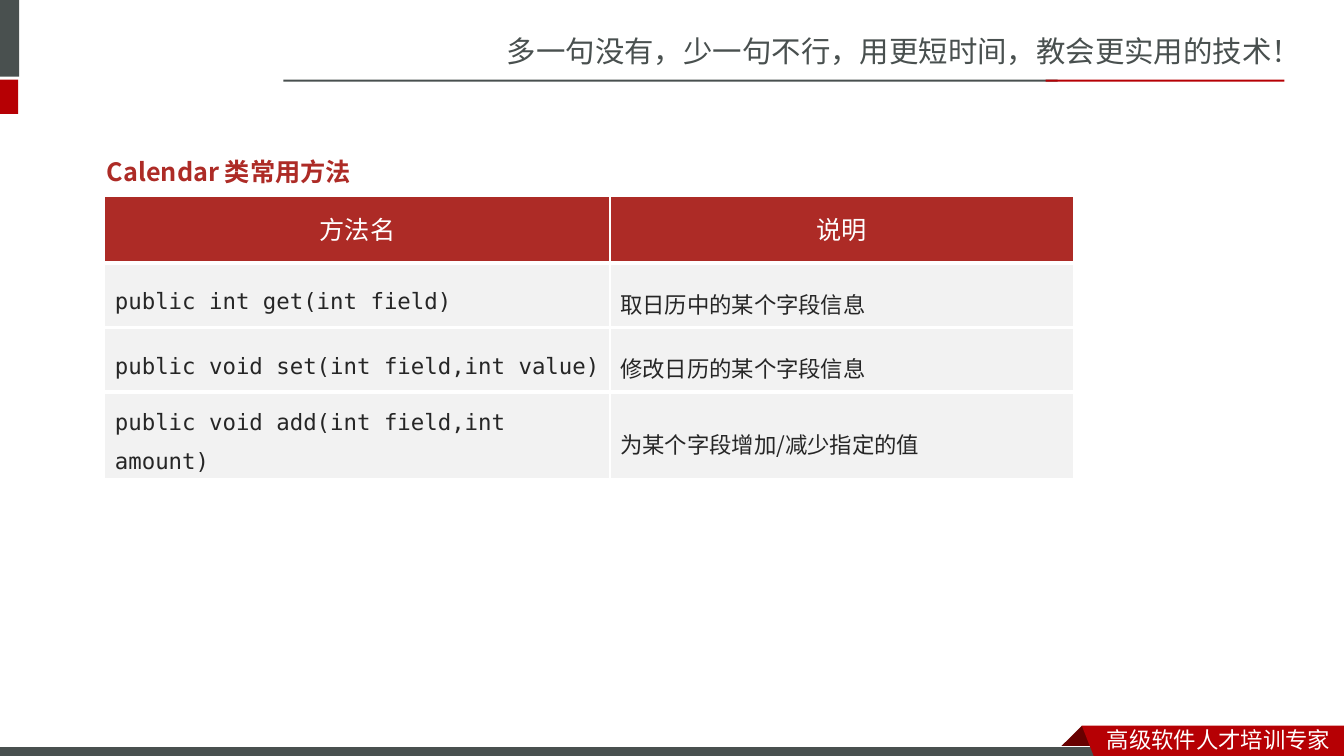
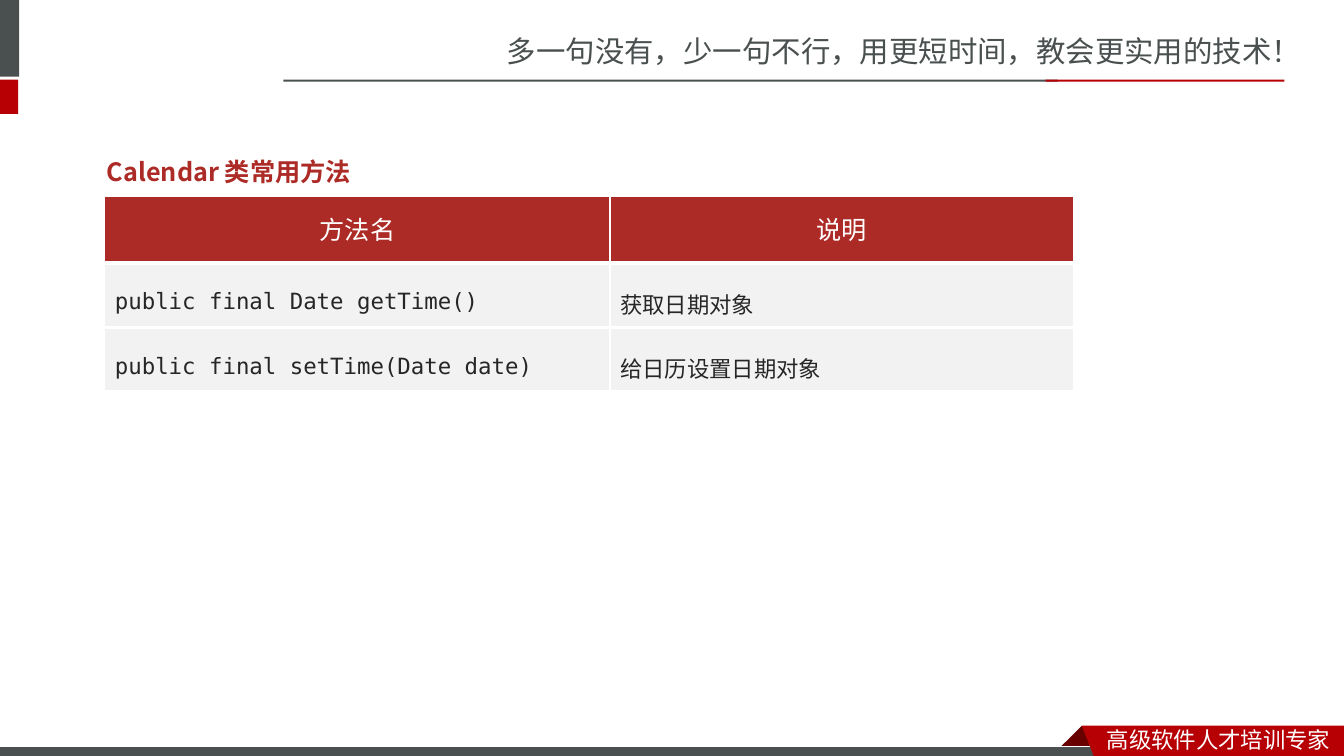
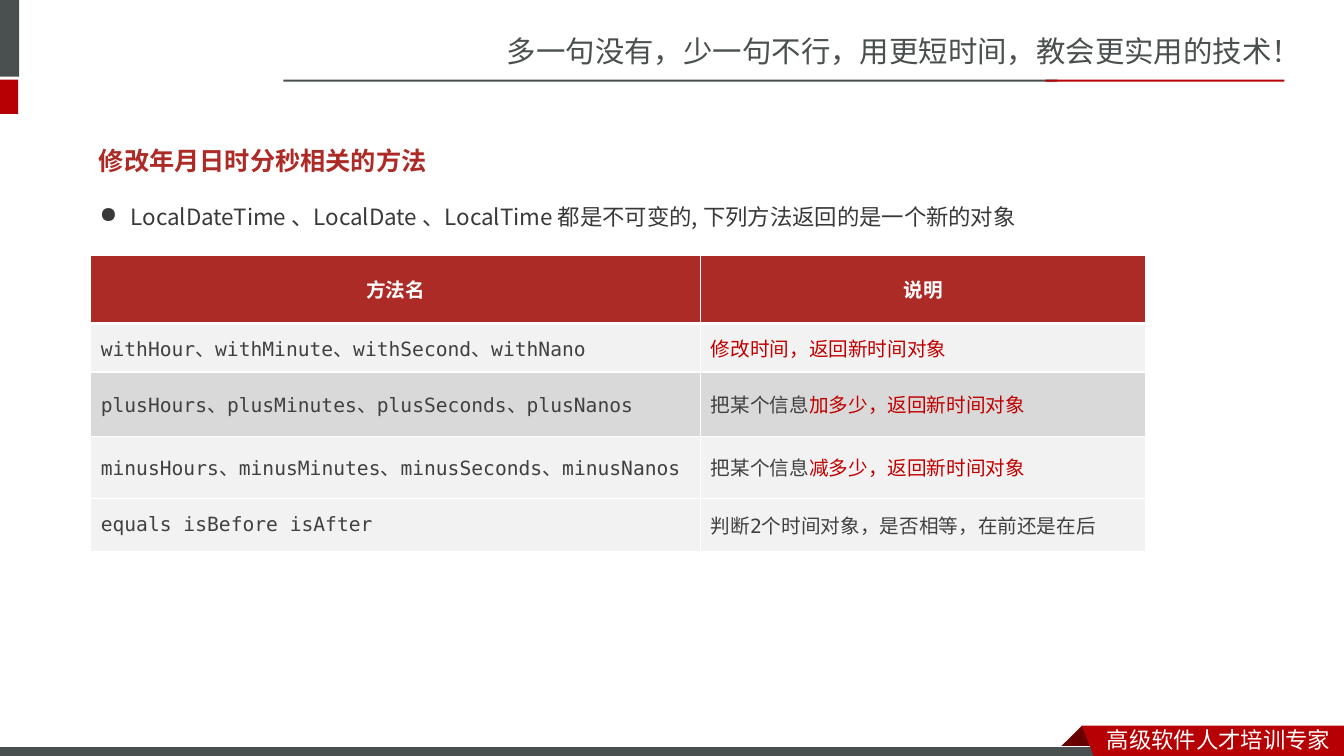
import pptx
import pptx.dml.color
import pptx.enum.shapes
import pptx.enum.text
import pptx.oxml
import pptx.oxml.ns
import pptx.util
from pptx.dml.color import RGBColor
from pptx.util import Inches, Pt

GREY = RGBColor(0x49, 0x50, 0x4F)
RED = RGBColor(0xB6, 0x00, 0x04)
DARK = RGBColor(0x68, 0x00, 0x00)
BRICK = RGBColor(0xAD, 0x2B, 0x26)
WHITE = RGBColor(0xFF, 0xFF, 0xFF)
PALE = RGBColor(0xF2, 0xF2, 0xF2)
BAND = RGBColor(0xD9, 0xD9, 0xD9)
INK = RGBColor(0x26, 0x26, 0x26)
SOFT = RGBColor(0x40, 0x40, 0x40)
BODY = RGBColor(0x39, 0x39, 0x39)
ALERT = RGBColor(0xC0, 0x00, 0x00)

SANS = "Noto Sans CJK SC"
TEXT = "Noto Sans CJK JP"
MONO = "DejaVu Sans Mono"
HEAD = "Roboto"

ALIGN = pptx.enum.text.PP_ALIGN
ANCHOR = pptx.enum.text.MSO_ANCHOR


def add_xml(parent, tag, **attrs):
    node = pptx.oxml.parse_xml(f"<a:{tag} {pptx.oxml.ns.nsdecls('a')}/>")
    for key, value in attrs.items():
        node.set(key, str(value))
    parent.append(node)
    return node


def style(run, face, size, color, bold=False):
    font = run.font
    font.size = Pt(size)
    font.bold = bold
    font.color.rgb = color
    font.name = face
    east = face if face in (SANS, TEXT) else SANS
    add_xml(run._r.get_or_add_rPr(), "ea", typeface=east)


def write(frame, text, face, size, color, bold=False, space=1.0):
    frame.text = text
    frame.word_wrap = True
    frame.vertical_anchor = ANCHOR.TOP
    frame.auto_size = pptx.enum.text.MSO_AUTO_SIZE.NONE
    para = frame.paragraphs[0]
    para.alignment = ALIGN.LEFT
    para.line_spacing = space
    for run in para.runs:
        style(run, face, size, color, bold)
    return para


def add_text(slide, box, *look, **more):
    shape = slide.shapes.add_textbox(*map(Inches, box))
    write(shape.text_frame, *look, **more)
    return shape


def paint(shape, fill, line=None):
    shape.shadow.inherit = False
    shape.fill.solid()
    shape.fill.fore_color.rgb = fill
    if line is None:
        shape.line.fill.background()
    else:
        shape.line.color.rgb = line
        shape.line.width = Pt(0.75)
    return shape


def add_bar(slide, box, fill, line=None):
    kind = pptx.enum.shapes.MSO_SHAPE.RECTANGLE
    return paint(slide.shapes.add_shape(kind, *map(Inches, box)), fill, line)


def add_free(slide, points, fill):
    spots = [(Inches(x), Inches(y)) for x, y in points]
    path = slide.shapes.build_freeform(*spots[0])
    path.add_line_segments(spots[1:], close=True)
    return paint(path.convert_to_shape(), fill)


def set_frame(slide, layout):
    parts = [
        add_text(slide, (4.93, 0.28, 8.4, 0.47),
                 "多一句没有，少一句不行，用更短时间，教会更实用的技术！", SANS, 21, GREY),
        add_bar(slide, (0, 0, 0.19, 0.76), GREY),
        add_bar(slide, (0, 0.79, 0.18, 0.34), RED),
        add_bar(slide, (2.81, 0.79, 7.68, 0.02), GREY),
        add_bar(slide, (10.37, 0.79, 2.37, 0.02), RED),
        add_free(slide, [(10.73, 7.2), (10.95, 7.42), (10.94, 7.43),
                         (10.52, 7.43), (10.51, 7.42)], DARK),
        add_bar(slide, (-0.01, 7.41, 11, 0.12), GREY, WHITE),
        add_free(slide, [(10.73, 7.2), (13.33, 7.2), (13.33, 7.54),
                         (10.86, 7.53)], RED),
        add_text(slide, (10.88, 7.15, 2.45, 0.37),
                 "高级软件人才培训专家", SANS, 16, WHITE),
    ]
    for num, part in enumerate(parts, 100):
        part.element.nvSpPr.cNvPr.set("id", str(num))
        layout.shapes.element.append(part.element)


def set_title(slide, left, top, text):
    title = slide.shapes.title
    title.left, title.top = Inches(left), Inches(top)
    title.width, title.height = Inches(5.12), Inches(0.63)
    write(title.text_frame, text, TEXT, 18, BRICK, bold=True, space=2.0)


def add_point(slide, box, text):
    shape = slide.shapes.add_textbox(*map(Inches, box))
    frame = shape.text_frame
    para = write(frame, text, TEXT, 16, BODY, space=2.0)
    props = para._p.get_or_add_pPr()
    props.set("marL", str(Inches(0.31)))
    props.set("indent", str(-Inches(0.31)))
    add_xml(props, "buChar", char="●")


def set_edge(cell, top, bottom):
    props = cell._tc.get_or_add_tcPr()
    fill = props[0]
    for tag, width in (("lnL", 1), ("lnR", 1), ("lnT", top), ("lnB", bottom)):
        line = add_xml(props, tag, w=Pt(width))
        add_xml(add_xml(line, "solidFill"), "srgbClr", val=str(WHITE))
    props.append(fill)


def fill_cell(cell, text, fill, face, size, color, bold, space, align):
    cell.fill.solid()
    cell.fill.fore_color.rgb = fill
    cell.vertical_anchor = ANCHOR.MIDDLE
    para = cell.text_frame.paragraphs[0]
    para.alignment = align
    para.line_spacing = space
    for part, tone in zip(text.split("|"), (color, ALERT)):
        if part:
            run = para.add_run()
            run.text = part
            style(run, face, size, tone, bold)


def add_grid(slide, left, top, cols, highs, rows, head, faces, look, rule, dark=()):
    rows = [("方法名", "说明")] + rows
    shape = slide.shapes.add_table(
        len(rows), len(cols), Inches(left), Inches(top),
        Inches(sum(cols)), Inches(sum(highs)))
    table = shape.table
    table.horz_banding = False
    for col, width in zip(table.columns, cols):
        col.width = Inches(width)
    for i, (row, high, texts) in enumerate(zip(table.rows, highs, rows)):
        row.height = Inches(high)
        for cell, text, face in zip(row.cells, texts, faces):
            if i == 0:
                fill_cell(cell, text, BRICK, *head, ALIGN.CENTER)
            else:
                fill_cell(cell, text, BAND if i in dark else PALE,
                          face, *look, ALIGN.LEFT)
            set_edge(cell, {0: 1, 1: 3}.get(i, rule), 3 if i == 0 else rule)


def add_calls(slide, rows):
    set_title(slide, 0.96, 1.2, "Calendar 类常用方法")
    add_grid(slide, 1.04, 1.95, (5.01, 4.6), [0.66] + [0.64] * len(rows), rows,
             (HEAD, 18, WHITE, False, Pt(24)), (MONO, TEXT),
             (16, INK, False, 1.5), 3)


def add_times(slide):
    set_title(slide, 0.88, 1.09, "修改年月日时分秒相关的方法")
    rows = [
        ("withHour、withMinute、withSecond、withNano", "|修改时间，返回新时间对象"),
        ("plusHours、plusMinutes、plusSeconds、plusNanos",
         "把某个信息|加多少，返回新时间对象"),
        ("minusHours、minusMinutes、minusSeconds、minusNanos",
         "把某个信息|减多少，返回新时间对象"),
        ("equals isBefore isAfter", "判断2个时间对象，是否相等，在前还是在后"),
    ]
    add_grid(slide, 0.9, 2.53, (6.05, 4.41), (0.68, 0.48, 0.64, 0.53, 0.53), rows,
             (MONO, 14, WHITE, True, 1.0), (MONO, MONO),
             (14, SOFT, False, 1.0), 1, dark=(2,))
    add_point(slide, (0.89, 1.7, 12.4, 0.57),
              "LocalDateTime 、LocalDate 、LocalTime 都是不可变的, 下列方法返回的是一个新的对象")


def main():
    deck = pptx.Presentation()
    deck.slide_width, deck.slide_height = Inches(13.33), Inches(7.5)
    layout = deck.slide_layouts[5]
    first, second, third = [deck.slides.add_slide(layout) for _ in range(3)]
    set_frame(first, layout)
    add_calls(first, [
        ("public int get(int field)", "取日历中的某个字段信息"),
        ("public void set(int field,int value)", "修改日历的某个字段信息"),
        ("public void add(int field,int amount)", "为某个字段增加/减少指定的值"),
    ])
    add_calls(second, [
        ("public final Date getTime()", "获取日期对象"),
        ("public final setTime(Date date)", "给日历设置日期对象"),
    ])
    add_times(third)
    deck.save("out.pptx")


if __name__ == "__main__":
    main()
